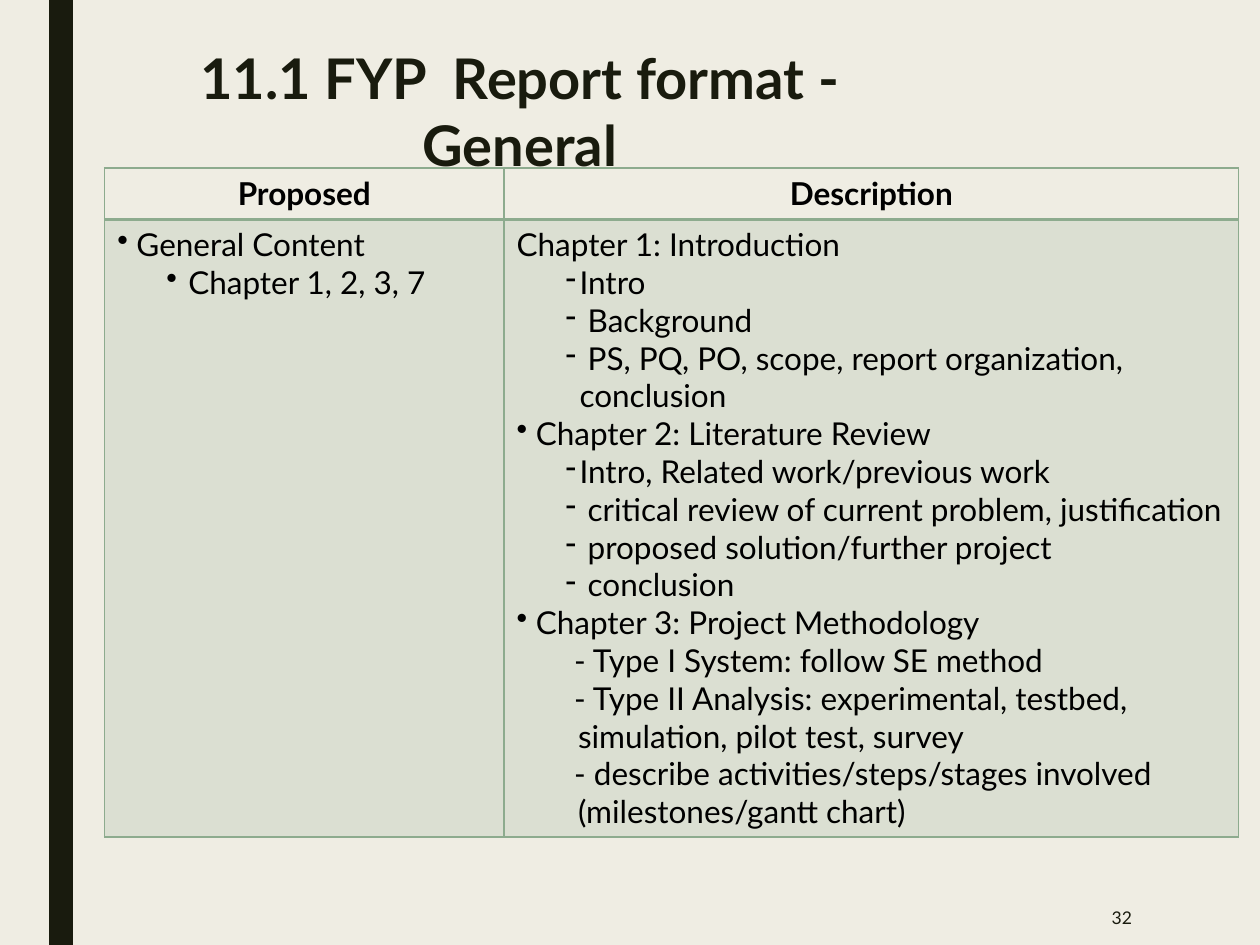
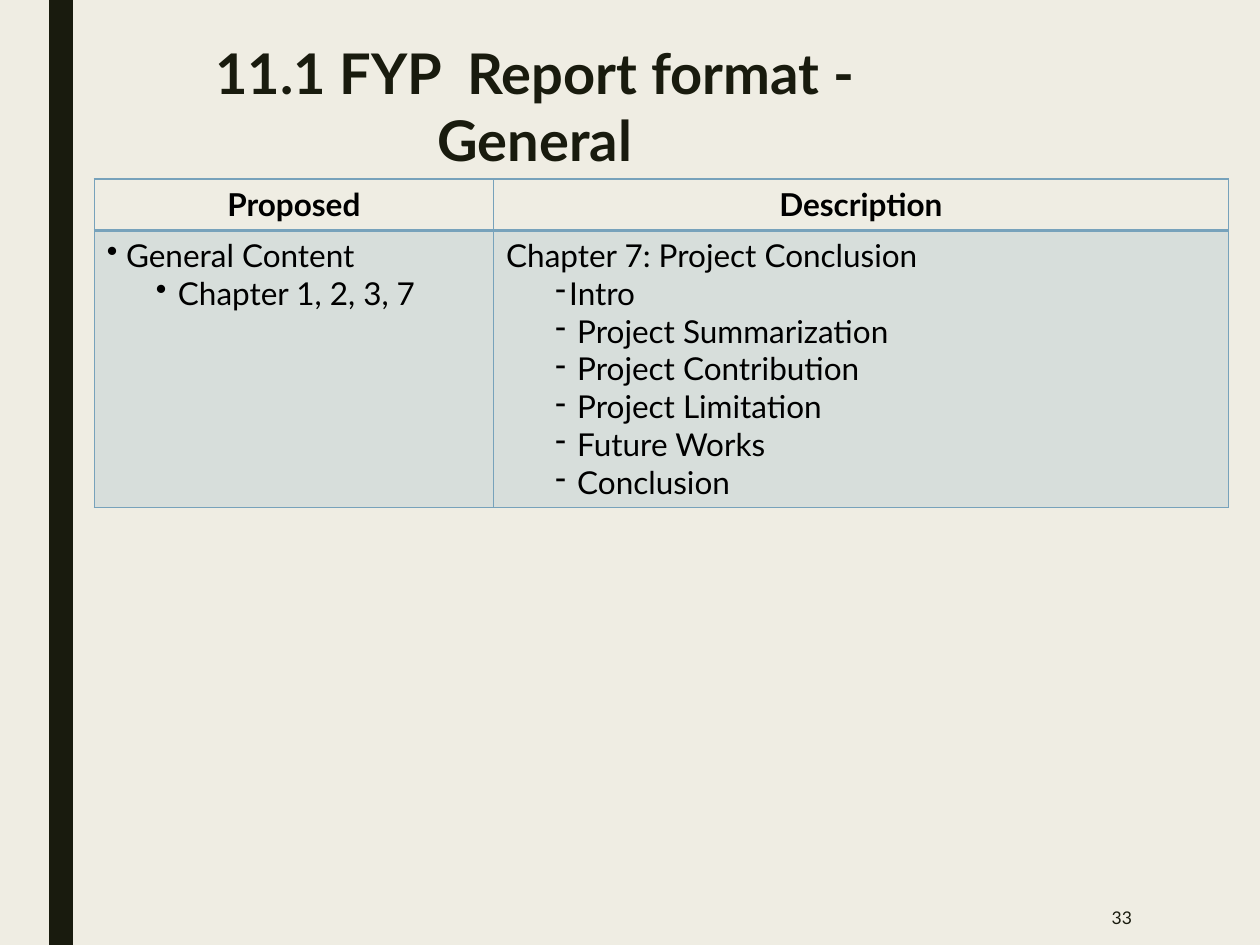
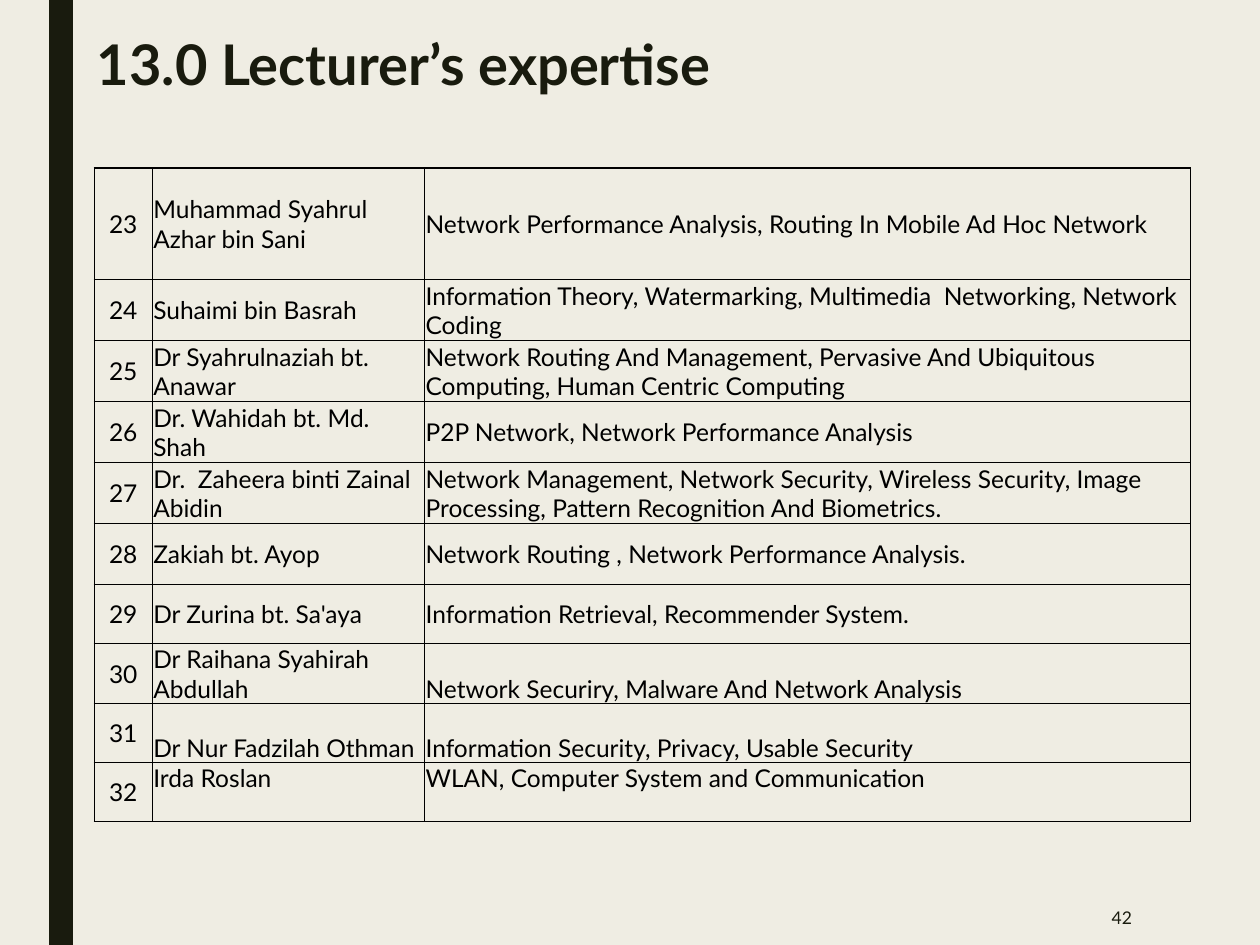
from dataclasses import dataclass

from lxml.etree import SubElement
from pptx import Presentation
from pptx.dml.color import RGBColor as Rgb
from pptx.enum.shapes import MSO_SHAPE as Shape
from pptx.enum.text import MSO_ANCHOR as Anchor, MSO_AUTO_SIZE as Fit, PP_ALIGN as Align
from pptx.oxml.ns import qn
from pptx.util import Cm, Pt


@dataclass(frozen=True)
class Theme:
    """Colours, font and type sizes of the deck."""
    paper: str = "EFEDE3"
    ink: str = "191B0E"
    black: str = "000000"
    green: str = "8DAB8E"
    blue: str = "77A2BB"
    font: str = "Lato"
    head: int = 32
    body: int = 18
    small: int = 14
    page: int = 10


THEME = Theme()
FORMAT = "11.1 FYP  Report format - General"
SCOPE = [("•", " General Content"), ("sub•", " Chapter 1, 2, 3, 7")]
STUDY = [
    ("", "Chapter 1: Introduction"),
    ("sub-", "Intro"),
    ("sub-", " Background"),
    ("sub-", " PS, PQ, PO, scope, report organization, conclusion"),
    ("•", " Chapter 2: Literature Review"),
    ("sub-", "Intro, Related work/previous work"),
    ("sub-", " critical review of current problem, justification"),
    ("sub-", " proposed solution/further project"),
    ("sub-", " conclusion"),
    ("•", " Chapter 3: Project Methodology"),
    ("typed", "- Type I System: follow SE method"),
    ("typed", "- Type II Analysis: experimental, testbed, simulation, pilot test, survey"),
    ("typed", "- describe activities/steps/stages involved (milestones/gantt chart)"),
]
CLOSE = [
    ("", "Chapter 7: Project Conclusion"),
    ("sub-", "Intro"),
    ("sub-", " Project Summarization"),
    ("sub-", " Project Contribution"),
    ("sub-", " Project Limitation"),
    ("sub-", " Future Works"),
    ("sub-", " Conclusion"),
]
STYLES = {
    "": {},
    "•": {"mark": "•"},
    "sub•": {"mark": "•", "level": 1, "left": 1.27, "hang": -0.28},
    "sub-": {"mark": "-", "level": 1, "left": 1.27, "hang": -0.28},
    "typed": {"left": 1.24, "hang": -0.08},
}
STAFF = [
    ("Muhammad Syahrul Azhar bin Sani",
     "Network Performance Analysis, Routing In Mobile Ad Hoc Network"),
    ("Suhaimi bin Basrah",
     "Information Theory, Watermarking, Multimedia  Networking, Network Coding"),
    ("Dr Syahrulnaziah bt. Anawar",
     "Network Routing And Management, Pervasive And Ubiquitous Computing, "
     "Human Centric Computing"),
    ("Dr. Wahidah bt. Md. Shah", "P2P Network, Network Performance Analysis"),
    ("Dr.  Zaheera binti Zainal Abidin",
     "Network Management, Network Security, Wireless Security, Image Processing, "
     "Pattern Recognition And Biometrics."),
    ("Zakiah bt. Ayop", "Network Routing , Network Performance Analysis."),
    ("Dr Zurina bt. Sa'aya", "Information Retrieval, Recommender System."),
    ("Dr Raihana Syahirah Abdullah", "Network Securiry, Malware And Network Analysis"),
    ("Dr Nur Fadzilah Othman", "Information Security, Privacy, Usable Security"),
    ("Irda Roslan", "WLAN, Computer System and Communication"),
]
FIRST = 23
LOW = {30: Anchor.BOTTOM, 31: Anchor.BOTTOM, 32: Anchor.TOP}


def write(para, text, *, size=THEME.body, color=THEME.black, bold=False,
          align=Align.LEFT, level=0, left=0, hang=0, mark=None, space=None):
    """Fill a paragraph with one formatted run."""
    para.alignment, para.level = align, level
    if space:
        para.line_spacing = space
    props = para._p.get_or_add_pPr()
    props.set("marL", str(Cm(left)))
    props.set("indent", str(Cm(hang)))
    if mark:
        SubElement(props, qn("a:buChar")).set("char", mark)
    run = para.add_run()
    run.text = text
    font = run.font
    font.name, font.size, font.bold = THEME.font, Pt(size), bold
    font.color.rgb = Rgb.from_string(color)


def paint(cell, line, *, top=1, base=1, tint=None):
    """Give a cell its fill and its four borders."""
    props = cell._tc.get_or_add_tcPr()
    if tint:
        cell.fill.solid()
        cell.fill.fore_color.rgb = Rgb.from_string(tint)
        shade = props.find(".//" + qn("a:srgbClr"))
        SubElement(shade, qn("a:alpha")).set("val", "20000")
    else:
        cell.fill.background()
    for spot, (side, width) in enumerate(zip("LRTB", (1, 1, top, base))):
        edge = SubElement(props, qn("a:ln" + side), w=str(Pt(width)))
        fill = SubElement(edge, qn("a:solidFill"))
        SubElement(fill, qn("a:srgbClr")).set("val", line)
        props.insert(spot, edge)


def grid(slide, x, y, cols, rows):
    """Add a plain table from its column widths and row heights."""
    size = (Cm(v) for v in (x, y, sum(cols), sum(rows)))
    table = slide.shapes.add_table(len(rows), len(cols), *size).table
    table.first_row = table.horz_banding = False
    for col, width in zip(table.columns, cols):
        col.width = Cm(width)
    for row, height in zip(table.rows, rows):
        row.height = Cm(height)
    return table


def outline(slide, x, y, depth, notes, tone):
    """Place the two-column table of report chapters."""
    table = grid(slide, x, y, (8.05, 14.81), (1.03, depth))
    for col, (name, items) in enumerate((("Proposed", SCOPE), ("Description", notes))):
        head, body = table.cell(0, col), table.cell(1, col)
        paint(head, tone, base=2)
        paint(body, tone, top=2, tint=tone)
        write(head.text_frame.paragraphs[0], name, bold=True, align=Align.CENTER)
        for spot, (style, text) in enumerate(items):
            frame = body.text_frame
            para = frame.add_paragraph() if spot else frame.paragraphs[0]
            write(para, text, **STYLES[style])


def roster(slide, x, y):
    """Place the numbered table of lecturers."""
    rows = [2.24] + [1.23] * 5 + [1.19] * 4
    table = grid(slide, x, y, (1.17, 5.49, 15.44), rows)
    for row, person in enumerate(STAFF):
        number = FIRST + row
        for col, text in enumerate((str(number), *person)):
            cell = table.cell(row, col)
            paint(cell, THEME.black)
            cell.margin_left = cell.margin_right = cell.margin_top = Cm(0.02)
            cell.margin_bottom = 0
            cell.vertical_anchor = LOW.get(number, Anchor.MIDDLE) if col else Anchor.MIDDLE
            write(cell.text_frame.paragraphs[0], text, size=THEME.small,
                  align=Align.LEFT if col else Align.CENTER)


def place(shape, box, anchor):
    """Move a text shape to its box and return its first paragraph."""
    shape.left, shape.top, shape.width, shape.height = (Cm(v) for v in box)
    frame = shape.text_frame
    frame.word_wrap, frame.auto_size = True, Fit.NONE
    frame.vertical_anchor = anchor
    return frame.paragraphs[0]


def start(deck, title, page, box, **look):
    """Add a slide with its title and page number."""
    slide = deck.slides.add_slide(deck.slide_layouts[5])
    para = place(slide.shapes.title, box, Anchor.TOP)
    write(para, title, size=THEME.head, color=THEME.ink, bold=True, **look)
    note = slide.shapes.add_textbox(0, 0, 0, 0)
    para = place(note, (19.74, 17.93, 3.33, 1.12), Anchor.MIDDLE)
    write(para, str(page), size=THEME.page, color=THEME.ink, align=Align.RIGHT)
    return slide


def dress(deck, slide):
    """Put the paper colour and the side band on the master."""
    master = deck.slide_master
    master.background.fill.solid()
    master.background.fill.fore_color.rgb = Rgb.from_string(THEME.paper)
    band = slide.shapes.add_shape(Shape.RECTANGLE, Cm(0.99), 0, Cm(0.48), deck.slide_height)
    band.shadow.inherit = False
    band.fill.solid()
    band.fill.fore_color.rgb = Rgb.from_string(THEME.ink)
    band.line.fill.background()
    band.element.xpath("./p:nvSpPr/p:cNvPr")[0].set("id", "99")
    master.shapes.element.insert(2, band.element)


def main():
    """Build and save the deck."""
    deck = Presentation()
    deck.slide_width, deck.slide_height = Cm(25.4), Cm(19.05)
    slide = start(deck, FORMAT, 32, (2.11, 0.74, 16.74, 1.63), align=Align.CENTER)
    dress(deck, slide)
    outline(slide, 2.11, 3.39, 12.45, STUDY, THEME.green)
    slide = start(deck, FORMAT, 33, (2.41, 0.64, 16.74, 1.63), align=Align.CENTER)
    outline(slide, 1.9, 3.61, 5.59, CLOSE, THEME.blue)
    slide = start(deck, "13.0 Lecturer’s expertise", 42, (1.7, 0.64, 15.11, 3.58), space=0.89)
    roster(slide, 1.9, 3.39)
    deck.save("out.pptx")


if __name__ == "__main__":
    main()
